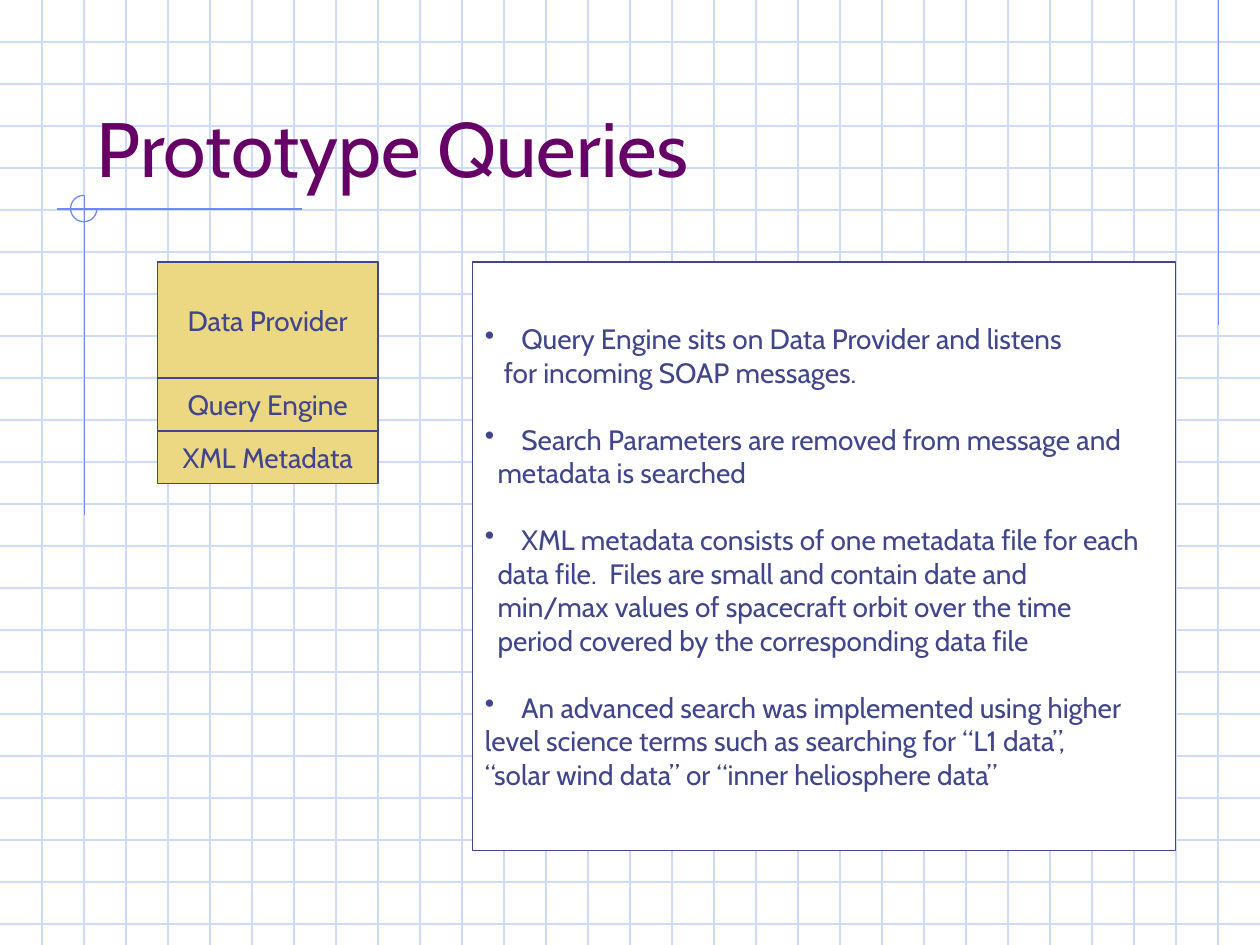
from lxml.etree import SubElement
from pptx import Presentation
from pptx.dml.color import RGBColor
from pptx.enum.shapes import MSO_CONNECTOR, MSO_SHAPE
from pptx.enum.text import MSO_ANCHOR, PP_ALIGN
from pptx.oxml.ns import qn
from pptx.util import Inches, Pt

WIDTH, HEIGHT = 10, 7.5
FONT = "Cabin"
COLORS = {
    "grid": "CFDBFD", "accent": "6F89F7", "title": "660066",
    "ink": "40458C", "layer": "ECD882", "panel": "FFFFFF",
}

TITLE = "Prototype Queries"
# Stacked layers: label, height
LAYERS = [("Data Provider", 0.92), ("Query Engine", 0.42), ("XML Metadata", 0.42)]
# Bullet points: indent of the lines after the first, lines
POINTS = [
    (0.15, ["Query Engine sits on Data Provider and listens",
            "for incoming SOAP messages."]),
    (0.1, ["Search Parameters are removed from message and",
           "metadata is searched"]),
    (0.1, ["XML metadata consists of one metadata file for each",
           "data file.  Files are small and contain date and",
           "min/max values of spacecraft orbit over the time",
           "period covered by the corresponding data file"]),
    (0, ["An advanced search was implemented using higher",
         "level science terms such as searching for “L1 data”,",
         "“solar wind data” or “inner heliosphere data”"]),
]
# Accent lines: x1, y1, x2, y2
ACCENT_LINES = [
    (9.67, 0, 9.67, 2.58),
    (2.4, 1.66, 0.45, 1.66),
    (0.67, 1.55, 0.67, 4.09),
]
GRID_STEP = 1 / 3
BULLET_INDENT = 0.29

presentation = Presentation()
presentation.slide_width = Inches(WIDTH)
presentation.slide_height = Inches(HEIGHT)
slide = presentation.slides.add_slide(presentation.slide_layouts[6])


def color(name):
    return RGBColor.from_string(COLORS[name])


def add_line(x1, y1, x2, y2, color_name):
    line = slide.shapes.add_connector(
        MSO_CONNECTOR.STRAIGHT, Inches(x1), Inches(y1), Inches(x2), Inches(y2))
    line.line.color.rgb = color(color_name)
    line.line.width = Pt(0.75)
    SubElement(line._element.spPr, qn("a:effectLst"))


def add_box(left, top, width, height, fill):
    box = slide.shapes.add_shape(
        MSO_SHAPE.RECTANGLE, Inches(left), Inches(top), Inches(width), Inches(height))
    box.shadow.inherit = False
    box.fill.solid()
    box.fill.fore_color.rgb = color(fill)
    box.line.color.rgb = color("ink")
    box.line.width = Pt(0.75)
    box.text_frame.word_wrap = True
    box.text_frame.vertical_anchor = MSO_ANCHOR.MIDDLE
    return box


def write(paragraph, text, size=16, color_name="ink", align=PP_ALIGN.LEFT):
    paragraph.text = text
    paragraph.alignment = align
    paragraph.font.name = FONT
    paragraph.font.size = Pt(size)
    paragraph.font.color.rgb = color(color_name)


def set_indent(paragraph, margin, bullet):
    properties = paragraph._p.get_or_add_pPr()
    properties.set("marL", str(Inches(margin)))
    properties.set("indent", str(-Inches(margin) if bullet else 0))
    if bullet:
        SubElement(properties, qn("a:buChar"), char="•")


# Background grid
for row in range(1, int(HEIGHT / GRID_STEP) + 1):
    add_line(0, row * GRID_STEP, WIDTH, row * GRID_STEP, "grid")
for column in range(1, round(WIDTH / GRID_STEP)):
    add_line(column * GRID_STEP, 0, column * GRID_STEP, HEIGHT, "grid")

# Accent lines and three-quarter circle at their crossing
for ends in ACCENT_LINES:
    add_line(*ends, "accent")
arc = slide.shapes.add_shape(
    MSO_SHAPE.ARC, Inches(0.56), Inches(1.55), Inches(0.21), Inches(0.21))
arc.adjustments[0] = 0
arc.adjustments[1] = 162  # 270 degrees
arc.shadow.inherit = False
arc.fill.background()
arc.line.color.rgb = color("accent")
arc.line.width = Pt(0.75)

# Title
title = slide.shapes.add_textbox(Inches(0.67), Inches(0.33), Inches(8.5), Inches(1.25))
title.text_frame.word_wrap = True
title.text_frame.vertical_anchor = MSO_ANCHOR.BOTTOM
write(title.text_frame.paragraphs[0], TITLE, 44, "title")

# Stack of layers
top = 2.08
for label, height in LAYERS:
    layer = add_box(1.25, top, 1.75, height, "layer")
    write(layer.text_frame.paragraphs[0], label, align=PP_ALIGN.CENTER)
    top += height

# Panel of bullet points
frame = add_box(3.75, 2.08, 5.58, 4.67, "panel").text_frame
for point, (indent, lines) in enumerate(POINTS):
    for number, text in enumerate(lines):
        first = number == 0
        opening = first and point == 0
        paragraph = frame.paragraphs[0] if opening else frame.add_paragraph()
        set_indent(paragraph, BULLET_INDENT if first else indent, first)
        write(paragraph, text)
        if first and not opening:
            paragraph.space_before = Pt(19)

presentation.save("out.pptx")
